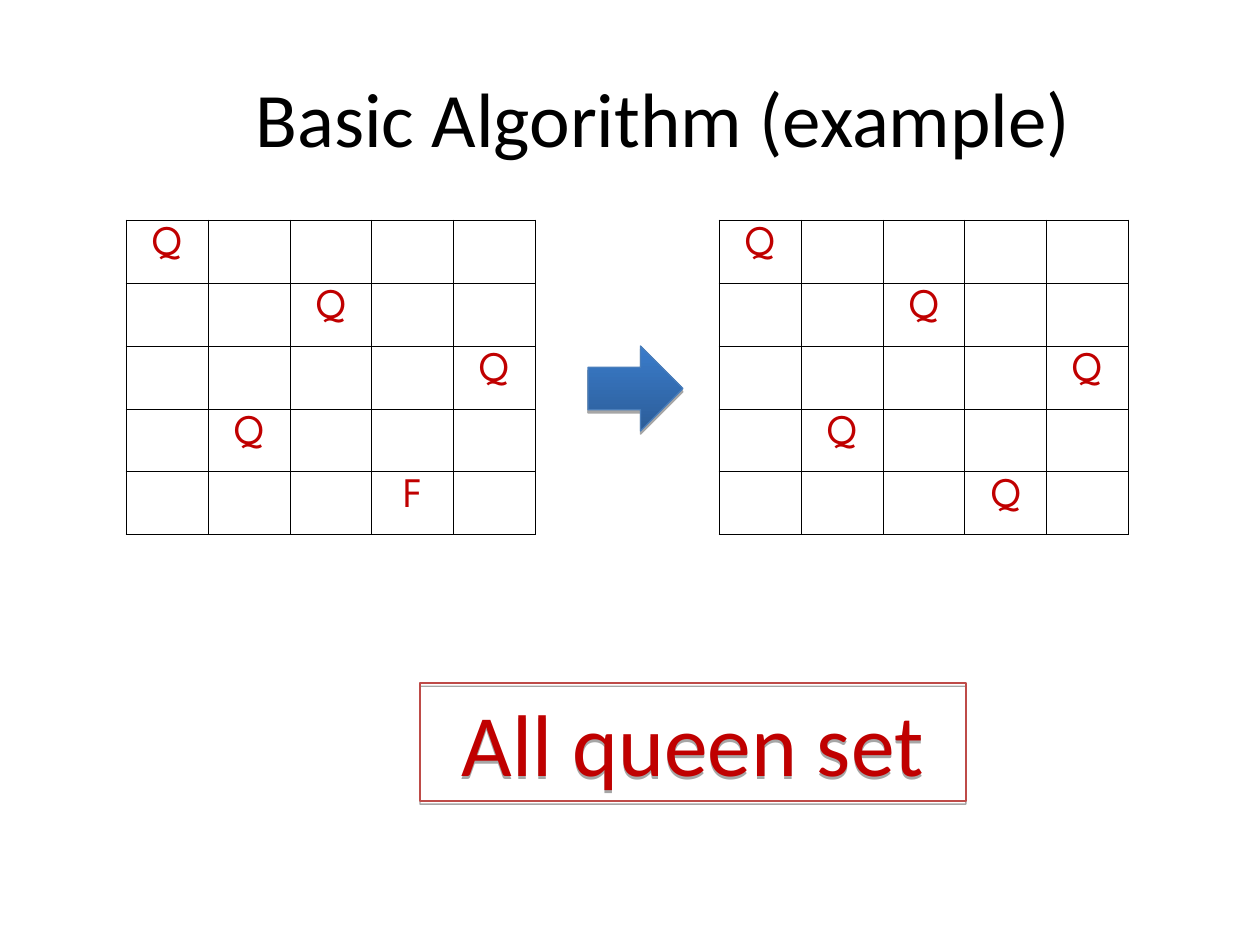
import pptx
import pptx.util
import pptx.dml.color
import pptx.enum.shapes
import pptx.enum.text
import pptx.oxml
import pptx.oxml.ns

RGBColor = pptx.dml.color.RGBColor
Pt = pptx.util.Pt
CENTER = pptx.enum.text.PP_ALIGN.CENTER
MIDDLE = pptx.enum.text.MSO_ANCHOR.MIDDLE
NAMESPACE = pptx.oxml.ns.nsdecls("a")

# Content
TITLE = "Basic Algorithm (example)"
RESULT = "All queen set"
BOARDS = [
    (126, ["Q....", "..Q..", "....Q", ".Q...", "...F."]),
    (719, ["Q....", "..Q..", "....Q", ".Q...", "...Q."]),
]

# Layout in px
PX = 914400 // 126
BOARD_TOP, CELL_WIDTH, CELL_HEIGHT = 220, 82, 63
TITLE_BOX = (63, 38, 1134, 157)
TITLE_INDENT = 67
RESULT_BOX = (420, 683, 546, 118)
ARROW_BOX = (588, 346, 95, 85)

BLACK = RGBColor(0x00, 0x00, 0x00)
RED = RGBColor(0xC0, 0x00, 0x00)
FRAME_RED = RGBColor(0xBE, 0x4B, 0x48)
ARROW_LINE = RGBColor(0x4A, 0x7E, 0xBB)
ARROW_DARK = RGBColor(0x2C, 0x5D, 0x98)
ARROW_LIGHT = RGBColor(0x3A, 0x7C, 0xCB)


def emu(box):
    return [length * PX for length in box]


def style_paragraph(paragraph, size, color, font_name="Calibri"):
    paragraph.alignment = CENTER
    paragraph.font.size = Pt(size)
    paragraph.font.name = font_name
    paragraph.font.color.rgb = color


def add_outline_and_shadow(shape, color):
    shape.line.color.rgb = color
    shape.line.width = Pt(0.75)
    shape.shadow.inherit = False
    effects = shape._element.spPr.find(pptx.oxml.ns.qn("a:effectLst"))
    effects.append(pptx.oxml.parse_xml(
        f'<a:outerShdw {NAMESPACE} blurRad="0" dist="{Pt(1.8)}" dir="5400000" rotWithShape="0">'
        '<a:srgbClr val="000000"><a:alpha val="35000"/></a:srgbClr></a:outerShdw>'))


def add_borders(cell):
    properties = cell._tc.get_or_add_tcPr()
    for side in ("lnL", "lnR", "lnT", "lnB"):
        properties.append(pptx.oxml.parse_xml(
            f'<a:{side} {NAMESPACE} w="{Pt(0.45)}"><a:solidFill>'
            f'<a:srgbClr val="{BLACK}"/></a:solidFill></a:{side}>'))


def add_board(slide, left, rows):
    row_count, column_count = len(rows), len(rows[0])
    box = (left, BOARD_TOP, column_count * CELL_WIDTH, row_count * CELL_HEIGHT)
    table = slide.shapes.add_table(row_count, column_count, *emu(box)).table
    table.first_row = table.horz_banding = False
    for row_index, row in enumerate(rows):
        for column_index, mark in enumerate(row):
            cell = table.cell(row_index, column_index)
            add_borders(cell)
            cell.fill.background()
            if mark != ".":
                cell.text = mark
                style_paragraph(cell.text_frame.paragraphs[0], 24, RED, "League Spartan")


presentation = pptx.Presentation()
presentation.slide_width, presentation.slide_height = emu((1260, 945))
slide = presentation.slides.add_slide(presentation.slide_layouts[5])

# Title
title = slide.shapes.title
title.left, title.top, title.width, title.height = emu(TITLE_BOX)
title.text_frame.text = TITLE
title.text_frame.vertical_anchor = MIDDLE
heading = title.text_frame.paragraphs[0]
heading._p.get_or_add_pPr().set("marL", str(TITLE_INDENT * PX))
heading._p.get_or_add_pPr().set("indent", "0")
style_paragraph(heading, 44, BLACK)

# Boards before and after the last move
for left, rows in BOARDS:
    add_board(slide, left, rows)

# Framed result
result = slide.shapes.add_textbox(*emu(RESULT_BOX))
result.text_frame.word_wrap = True
result.text_frame.auto_size = pptx.enum.text.MSO_AUTO_SIZE.SHAPE_TO_FIT_TEXT
result.text_frame.text = RESULT
style_paragraph(result.text_frame.paragraphs[0], 50, RED)
add_outline_and_shadow(result, FRAME_RED)

# Arrow between the boards
arrow = slide.shapes.add_shape(pptx.enum.shapes.MSO_SHAPE.RIGHT_ARROW, *emu(ARROW_BOX))
arrow.fill.gradient()
arrow.fill.gradient_angle = 90
for stop, color in zip(arrow.fill.gradient_stops, (ARROW_DARK, ARROW_LIGHT)):
    stop.color.rgb = color
add_outline_and_shadow(arrow, ARROW_LINE)

presentation.save("out.pptx")
